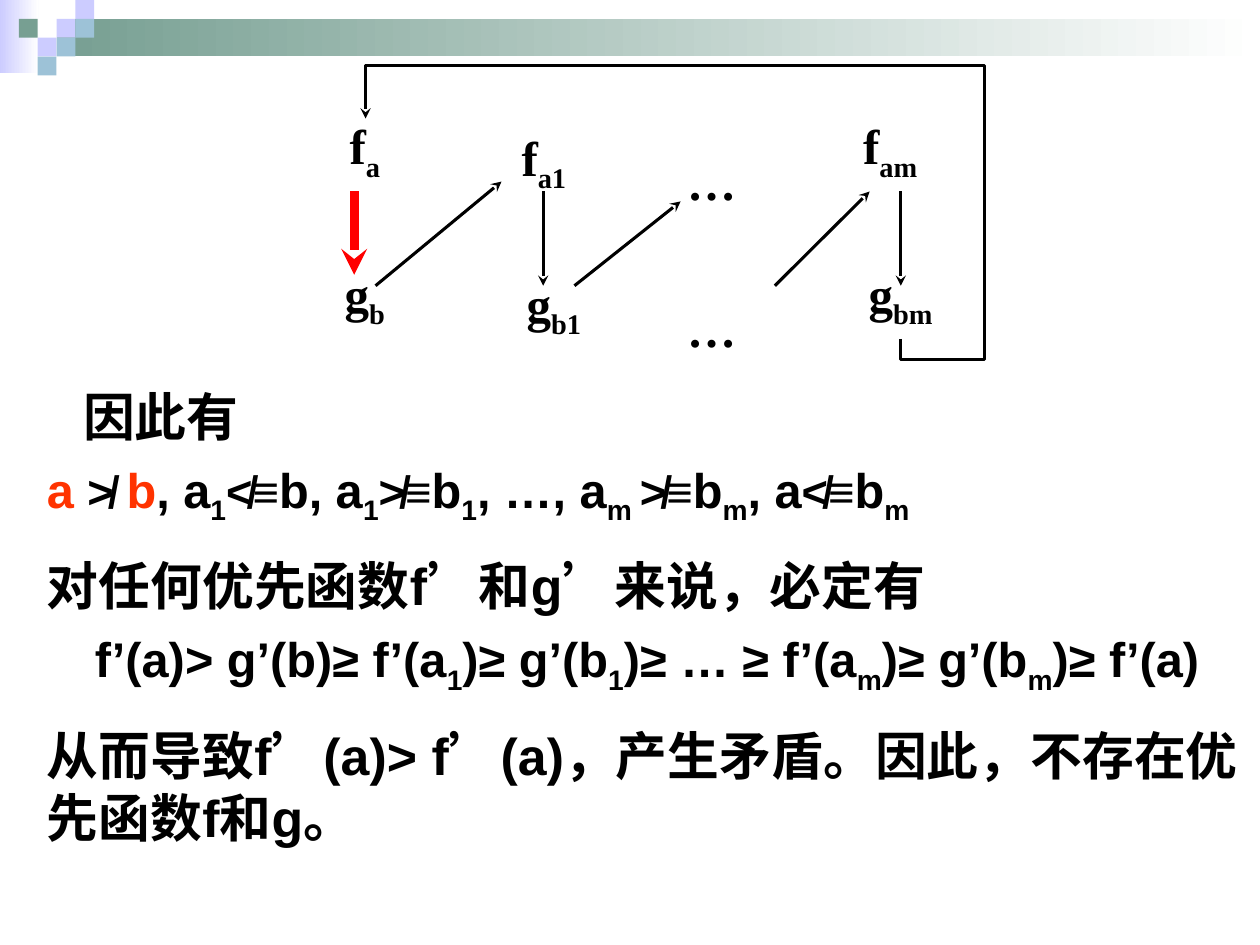
import pptx
import pptx.util
import pptx.dml.color
import pptx.enum.shapes
import pptx.enum.text
import pptx.oxml.ns
import lxml.etree

Cm = pptx.util.Cm
Pt = pptx.util.Pt
qn = pptx.oxml.ns.qn
Align = pptx.enum.text.PP_ALIGN
RECT = pptx.enum.shapes.MSO_SHAPE.RECTANGLE

HUES = {"ink": "000000", "red": "FF0000", "warm": "FF3300", "white": "FFFFFF",
        "lilac": "CCCCFF", "green": "779F92", "blue": "9DC2D7"}
BIG, MID, SIGN = 29.6, 27.8, 25.9


def hue(name):
    return pptx.dml.color.RGBColor.from_string(HUES[name])


def say(para, text, size=28, font="Arial", color="ink"):
    for i, part in enumerate(text.split("_")):
        if not part:
            continue
        run = para.add_run()
        run.text = part
        run.font.size = Pt(size)
        run.font.name = font
        run.font.bold = True
        run.font.color.rgb = hue(color)
        if i % 2:
            run._r.get_or_add_rPr().set("baseline", "-25000")


def block(slide, x, y, w, h, color, fade=None):
    shape = slide.shapes.add_shape(RECT, Cm(x), Cm(y), Cm(w), Cm(h))
    shape.shadow.inherit = False
    shape.line.fill.background()
    if fade:
        shape.fill.gradient()
        shape.fill.gradient_angle = 0
        for stop, name in zip(shape.fill.gradient_stops, (color, fade)):
            stop.color.rgb = hue(name)
    else:
        shape.fill.solid()
        shape.fill.fore_color.rgb = hue(color)


def header(slide, x, y):
    unit = 0.38
    block(slide, x, y, 0.78, 1.47, "lilac", "white")
    block(slide, x + 3 * unit, y + unit, 24.26, 2 * unit, "green", "white")
    tiles = [(3, 1, "lilac"), (4, 0, "lilac"), (4, 1, "blue"), (2, 2, "lilac"),
             (1, 1, "green"), (3, 2, "blue"), (2, 3, "blue")]
    for col, row, color in tiles:
        block(slide, x + col * unit, y + row * unit, unit, unit, color)


def stroke(shape, color="ink", width=1.75):
    shape.line.color.rgb = hue(color)
    shape.line.width = Pt(width)
    line = shape.line._get_or_add_ln()
    lxml.etree.SubElement(line, qn("a:tailEnd"), type="stealth")


def arrow(slide, x1, y1, x2, y2, **style):
    kind = pptx.enum.shapes.MSO_CONNECTOR.STRAIGHT
    link = slide.shapes.add_connector(kind, Cm(x1), Cm(y1), Cm(x2), Cm(y2))
    stroke(link, **style)
    lxml.etree.SubElement(link._element.spPr, qn("a:effectLst"))


def label(slide, x, y, text):
    box = slide.shapes.add_textbox(Cm(x), Cm(y), Cm(2.11), Cm(1.7))
    frame = box.text_frame
    frame.word_wrap = False
    frame.vertical_anchor = pptx.enum.text.MSO_ANCHOR.MIDDLE
    para = frame.paragraphs[0]
    para.alignment = Align.CENTER
    say(para, text, font="Times New Roman")


def cycle(slide, x, y):
    high, low = 2.54, 4.44
    labels = [(0, 0.84, "f_a"), (3.61, 1.07, "f_a1"), (10.59, 0.84, "f_am"),
              (0, 3.81, "g_b"), (3.81, 4.01, "g_b1"), (10.8, 3.81, "g_bm"),
              (6.99, 1.47, "…"), (6.99, low, "…")]
    for dx, dy, text in labels:
        label(slide, x + dx, y + dy, text)

    arrow(slide, x + 0.84, y + high, x + 0.84, y + 4.22, color="red", width=5)
    links = [(1.27, low, 3.81, 2.34), (4.65, high, 4.65, low),
             (5.28, low, 7.42, 2.74), (9.32, low, 11.23, high),
             (11.86, high, 11.86, low)]
    for x1, y1, x2, y2 in links:
        arrow(slide, x + x1, y + y1, x + x2, y + y2)

    bends = [(11.86, 5.51), (11.86, 5.92), (13.54, 5.92),
             (13.54, 0), (1.07, 0), (1.07, 1.07)]
    points = [(Cm(x + dx), Cm(y + dy)) for dx, dy in bends]
    pen = slide.shapes.build_freeform(*points[0])
    pen.add_line_segments(points[1:], close=False)
    loop = pen.convert_to_shape()
    loop.shadow.inherit = False
    loop.fill.background()
    stroke(loop)


def proof(body, x, y, w, h):
    body.left, body.top, body.width, body.height = Cm(x), Cm(y), Cm(w), Cm(h)
    frame = body.text_frame
    frame.word_wrap = True
    frame.auto_size = pptx.enum.text.MSO_AUTO_SIZE.NONE
    order = [("a ", MID, "warm"), ("≯ ", SIGN, "ink"), ("b", MID, "warm"),
             (", a_1_", MID, "ink"), ("≮≡", SIGN, "ink"),
             ("b, a_1_", MID, "ink"), ("≯≡", SIGN, "ink"),
             ("b_1_, …, a_m _", MID, "ink"), ("≯≡", SIGN, "ink"),
             ("b_m_, a", MID, "ink"), ("≮≡", SIGN, "ink"), ("b_m_", MID, "ink")]
    chain = "f’(a)> g’(b)≥ f’(a_1_)≥ g’(b_1_)≥ … ≥ f’(a_m_)≥ g’(b_m_)≥ f’(a)"
    lines = [
        (0, 0.73, Align.LEFT, [("因此有", BIG, "ink")]),
        (7.5, 0, Align.LEFT, order),
        (16, 0, Align.LEFT, [("对任何优先函数f’和g’来说，必定有", BIG, "ink")]),
        (7.5, 0, Align.CENTER, [(chain, MID, "ink")]),
        (16, 0, Align.LEFT,
         [("从而导致f’(a)> f’(a)，产生矛盾。因此，不存在优先函数f和g。", BIG, "ink")]),
    ]
    for i, (gap, indent, align, runs) in enumerate(lines):
        para = frame.add_paragraph() if i else frame.paragraphs[0]
        props = para._p.get_or_add_pPr()
        props.set("marL", str(Cm(indent)))
        props.set("indent", "0")
        lxml.etree.SubElement(props, qn("a:buNone"))
        para.alignment = align
        para.space_before = Pt(gap)
        for text, size, color in runs:
            say(para, text, size=size, color=color)


def main():
    deck = pptx.Presentation()
    deck.slide_width, deck.slide_height = Cm(25.4), Cm(19.05)
    slide = deck.slides.add_slide(deck.slide_layouts[1])
    title = slide.shapes.title._element
    title.getparent().remove(title)
    header(slide, 0, 0)
    proof(slide.placeholders[1], 0.69, 7.62, 24.71, 10.16)
    cycle(slide, 6.3, 1.32)
    deck.save("out.pptx")


if __name__ == "__main__":
    main()
